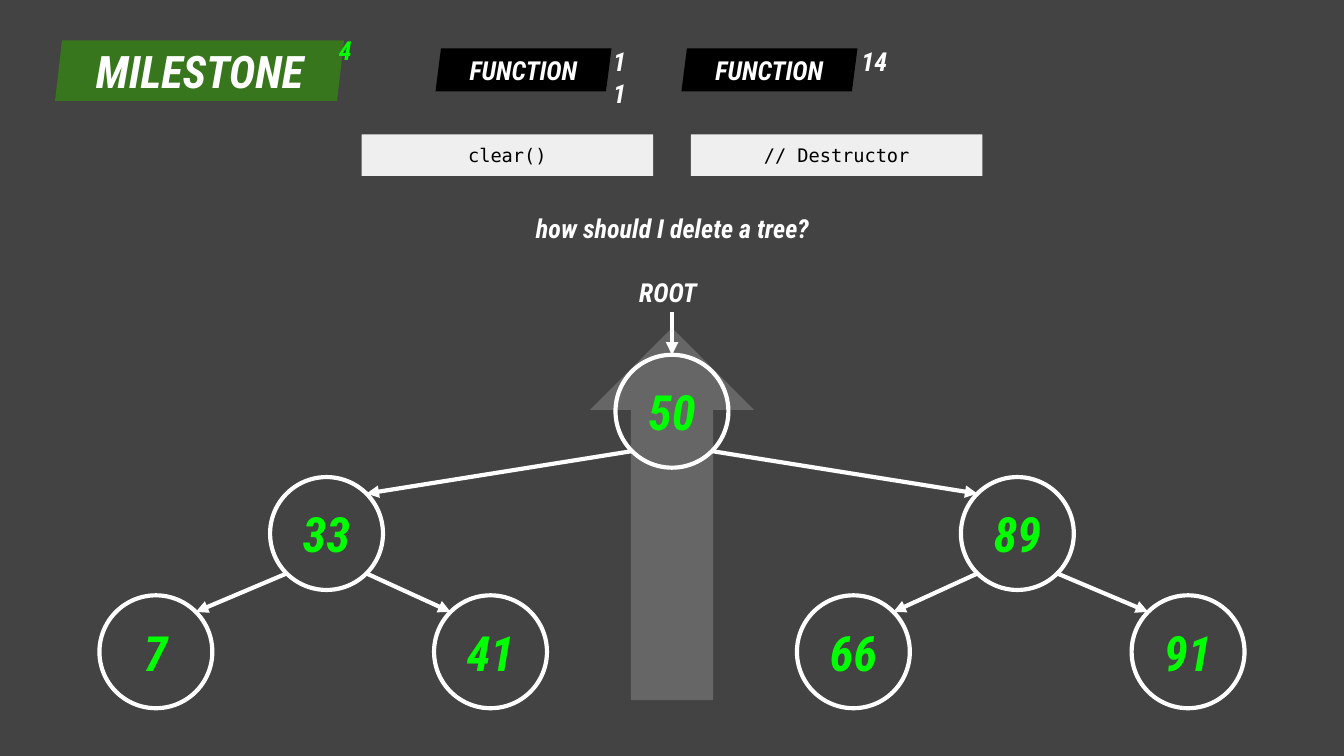
import pptx
import pptx.util
import pptx.dml.color
import pptx.enum.shapes
import pptx.enum.text
import pptx.oxml.ns
from lxml import etree

RGB = pptx.dml.color.RGBColor
FORM = pptx.enum.shapes.MSO_SHAPE
WHITE = RGB(0xFF, 0xFF, 0xFF)
BLACK = RGB(0x00, 0x00, 0x00)
GREEN = RGB(0x00, 0xFF, 0x00)
FOREST = RGB(0x38, 0x76, 0x1D)
DARK = RGB(0x43, 0x43, 0x43)
GRAY = RGB(0x66, 0x66, 0x66)
PALE = RGB(0xEF, 0xEF, 0xEF)

UNIT = pptx.util.Inches(0.1)  # one grid step: 100 columns across the slide
RADIUS = 4.2                  # node radius in grid steps
DIAG = RADIUS * 0.5 ** 0.5    # offset of a node's diagonal points


class Deck:
    """Holds the style and the current slide; lengths are grid steps."""
    head = "Roboto Condensed"
    mono = "DejaVu Sans Mono"
    stroke = pptx.util.Pt(2.25)

    def __init__(self):
        self.show = pptx.Presentation()
        self.show.slide_width = 100 * UNIT
        self.show.slide_height = 100 * UNIT * 9 // 16
        self.slide = self.show.slides.add_slide(self.show.slide_layouts[6])
        fill = self.slide.background.fill
        fill.solid()
        fill.fore_color.rgb = DARK

    def grid(self, *steps):
        return [round(step * UNIT) for step in steps]

    def letter(self, frame, text, size, color, font=head, bold=True):
        frame.word_wrap = True
        line = frame.paragraphs[0]
        line.text = text
        line.alignment = pptx.enum.text.PP_ALIGN.CENTER
        line.font.name = font
        line.font.size = pptx.util.Pt(size)
        line.font.bold = line.font.italic = bold
        line.font.color.rgb = color

    def shape(self, form, box, fill=None, line=None, slant=None):
        shape = self.slide.shapes.add_shape(form, *self.grid(*box))
        shape.shadow.inherit = False
        if fill is None:
            shape.fill.background()
        else:
            shape.fill.solid()
            shape.fill.fore_color.rgb = fill
        if line is None:
            shape.line.fill.background()
        else:
            shape.line.color.rgb = line
            shape.line.width = self.stroke
        if slant is not None:
            shape.adjustments[0] = slant
        frame = shape.text_frame
        frame.vertical_anchor = pptx.enum.text.MSO_ANCHOR.MIDDLE
        frame.margin_left = frame.margin_right = UNIT
        frame.margin_top = frame.margin_bottom = UNIT
        return shape

    def label(self, box, text, color=WHITE):
        item = self.slide.shapes.add_textbox(*self.grid(*box))
        self.letter(item.text_frame, text, 14, color)

    def banner(self, box, text, size, fill, slant):
        shape = self.shape(FORM.PARALLELOGRAM, box, fill, slant=slant)
        self.letter(shape.text_frame, text, size, WHITE)

    def snippet(self, box, text):
        shape = self.shape(FORM.RECTANGLE, box, PALE)
        self.letter(shape.text_frame, text, 10, BLACK, self.mono, False)

    def arrow(self, start, end):
        link = self.slide.shapes.add_connector(
            pptx.enum.shapes.MSO_CONNECTOR.STRAIGHT, *self.grid(*start, *end))
        link.line.color.rgb = WHITE
        link.line.width = self.stroke
        name = pptx.oxml.ns.qn
        props = link.element.spPr
        etree.SubElement(props.find(name("a:ln")), name("a:tailEnd"), type="triangle")
        etree.SubElement(props, name("a:effectLst"))

    def edge(self, parent, child):
        side = 1 if child[0] > parent[0] else -1
        self.arrow((parent[0] + side * DIAG, parent[1] + DIAG),
                   (child[0] - side * DIAG, child[1] - DIAG))

    def node(self, key, spot):
        box = (spot[0] - RADIUS, spot[1] - RADIUS, 2 * RADIUS, 2 * RADIUS)
        shape = self.shape(FORM.OVAL, box, line=WHITE)
        self.letter(shape.text_frame, key, 26, GREEN)


def main():
    deck = Deck()

    # Upward arrow behind the tree
    rise = deck.shape(FORM.DOWN_ARROW, (43.9, 24.4, 12.2, 27.7), GRAY)
    rise.rotation = 180

    # Milestone title
    deck.banner((4.1, 3, 21.5, 4.5), "MILESTONE", 24, FOREST, 0.115)
    deck.label((23.5, 2.1, 4.4, 6.2), "4", GREEN)

    # Function tags with their numbers
    for left, number, width in ((32.4, "11", 3.8), (50.7, "14", 5.1)):
        deck.banner((left, 3.6, 13.1, 3.2), "FUNCTION", 14, BLACK, 0.128)
        deck.label((left + 11.8, 2.9, width, 4.7), number)

    # Code boxes and question
    for left, text in ((26.9, "clear()"), (51.4, "// Destructor")):
        deck.snippet((left, 10, 21.7, 3.1), text)
    deck.label((30.4, 15.3, 39.3, 2.7), "how should I delete a tree?")

    # Tree, mirrored about the middle column
    mid, near, wide, far = 50, 13.5, 25.7, 38.4
    top, middle, low = 30.6, 39.7, 48.5
    nodes = {
        "7": (mid - far, low), "41": (mid - near, low),
        "66": (mid + near, low), "91": (mid + far, low),
        "33": (mid - wide, middle), "89": (mid + wide, middle),
        "50": (mid, top),
    }
    tree = {"50": ("33", "89"), "33": ("7", "41"), "89": ("66", "91")}
    deck.arrow((mid, 23.2), (mid, top - RADIUS))
    deck.label((45.5, 20.1, 8.4, 2.9), "ROOT")
    for parent, children in tree.items():
        for child in children:
            deck.edge(nodes[parent], nodes[child])
    for key, spot in nodes.items():
        deck.node(key, spot)

    deck.show.save("out.pptx")


if __name__ == "__main__":
    main()
